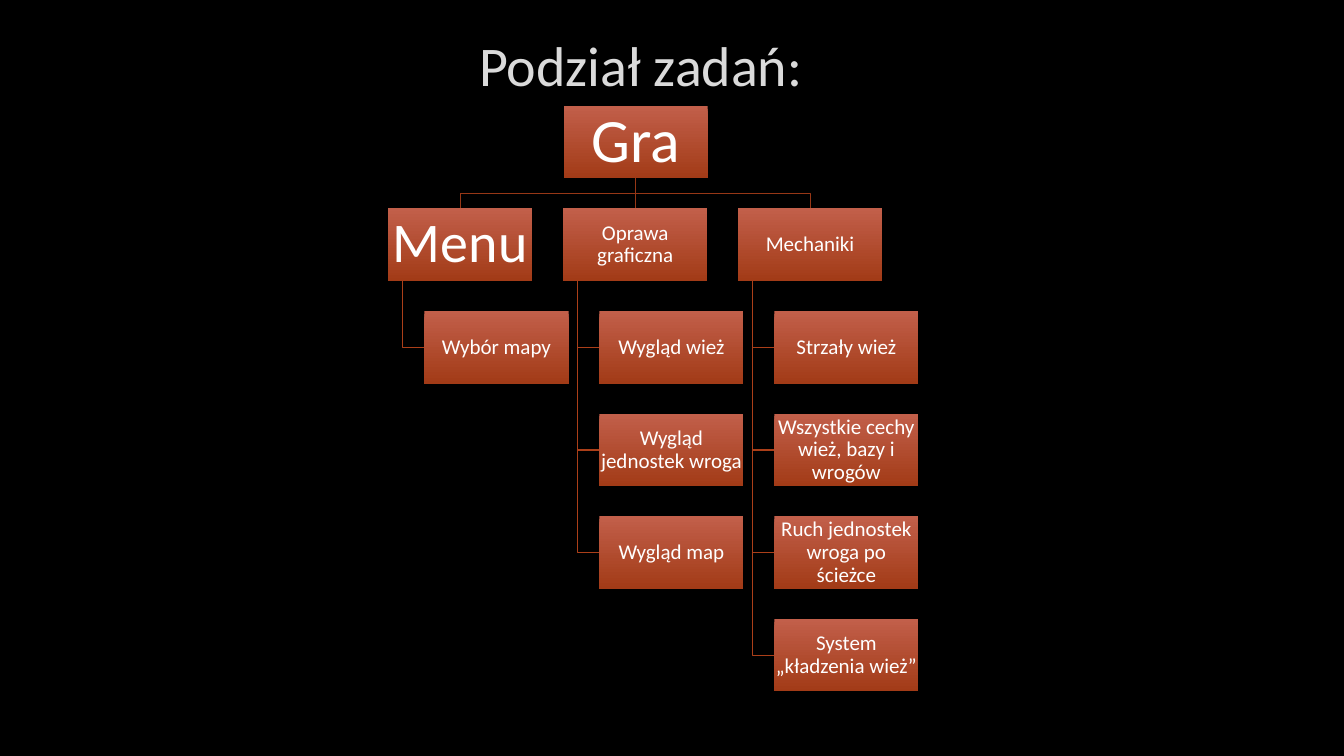
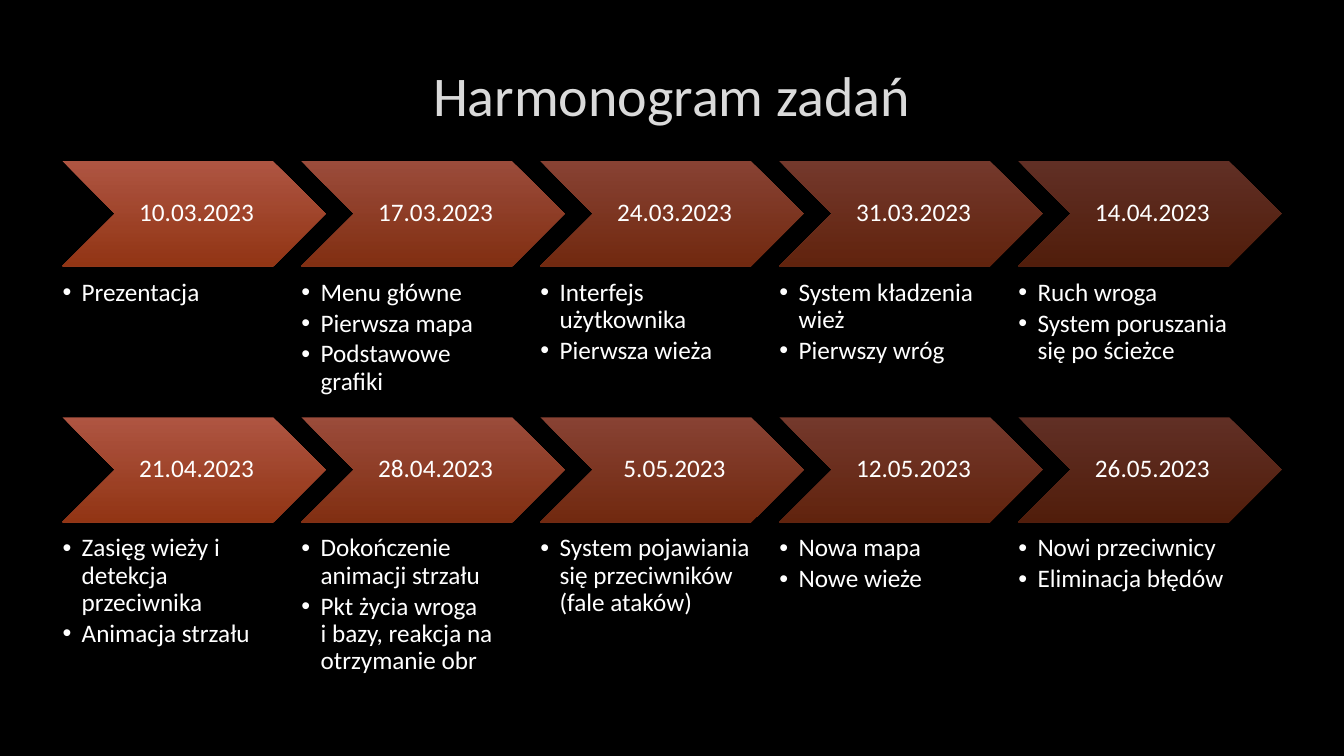
import pptx
import pptx.util
import pptx.dml.color
import pptx.enum.shapes
import pptx.enum.text
import pptx.oxml.ns
from lxml import etree

Inches, Pt = pptx.util.Inches, pptx.util.Pt
SHAPE = pptx.enum.shapes.MSO_SHAPE
ALIGN = pptx.enum.text.PP_ALIGN
ANCHOR = pptx.enum.text.MSO_ANCHOR
qn = pptx.oxml.ns.qn

# Content
ROOT = ("Gra", 44)
BRANCHES = [
    ("Menu", 40, ["Wybór mapy"]),
    ("Oprawa graficzna", 15, ["Wygląd wież", "Wygląd jednostek wroga", "Wygląd map"]),
    ("Mechaniki", 15, ["Strzały wież", "Wszystkie cechy wież, bazy i wrogów",
                       "Ruch jednostek wroga po ścieżce", "System „kładzenia wież”"]),
]
SCHEDULE = [
    [("10.03.2023", ["Prezentacja"]),
     ("17.03.2023", ["Menu główne", "Pierwsza mapa", "Podstawowe grafiki"]),
     ("24.03.2023", ["Interfejs użytkownika", "Pierwsza wieża"]),
     ("31.03.2023", ["System kładzenia wież", "Pierwszy wróg"]),
     ("14.04.2023", ["Ruch wroga", "System poruszania się po ścieżce"])],
    [("21.04.2023", ["Zasięg wieży i detekcja przeciwnika", "Animacja strzału"]),
     ("28.04.2023", ["Dokończenie animacji strzału",
                     "Pkt życia wroga\ni bazy, reakcja na otrzymanie obr"]),
     ("5.05.2023", ["System pojawiania się przeciwników\n(fale ataków)"]),
     ("12.05.2023", ["Nowa mapa", "Nowe wieże"]),
     ("26.05.2023", ["Nowi przeciwnicy", "Eliminacja błędów"])],
]

# Shared style
FONT = "Calibri"
COLORS = {"background": "000000", "title": "DADADA", "title_edge": "404040",
          "text": "FFFFFF", "fill_top": "C25F4A", "fill_bottom": "A23B17",
          "trunk": "973716", "branch": "AB3F19"}
TITLE = {"alignment": ALIGN.CENTER}
CENTERED = {"alignment": ALIGN.CENTER, "line_spacing": 0.9}
BULLETED = {"alignment": ALIGN.LEFT, "line_spacing": 0.9, "space_after": Pt(2.7)}
SIDES = ("margin_left", "margin_top", "margin_right", "margin_bottom")

# Tree geometry, in inches
BOX_W, BOX_H = 1.43, 0.72
ROOT_X, TREE_Y, LAST_ROW_Y = 5.59, 1.05, 6.14
FIRST_COL_X, LAST_COL_X = 3.85, 7.32
COL_STEP = (LAST_COL_X - FIRST_COL_X) / 2
ROW_STEP = (LAST_ROW_Y - TREE_Y) / 5
LEAF_INDENT, STEM_INDENT = 0.36, 0.14

# Schedule geometry, in inches
CHEVRON_W, CHEVRON_H = 2.61, 1.04
CHEVRON_X, CHEVRON_STEP = 0.62, 2.37
SCHEDULE_ROWS = [(1.6, 1.22), (4.14, 1.4)]
TASK_DROP, TASK_W, BULLET_INDENT = 1.17, 2.09, 0.19


def rgb(name):
    return pptx.dml.color.RGBColor.from_string(COLORS[name])


def apply(obj, values):
    for name, value in values.items():
        setattr(obj, name, value)


def write(sp, lines, size, para, insets, anchor=ANCHOR.MIDDLE, color="text"):
    tf = sp.text_frame
    apply(tf, {"word_wrap": True, "vertical_anchor": anchor})
    apply(tf, dict(zip(SIDES, map(Inches, insets))))
    for i, line in enumerate(lines):
        p = tf.add_paragraph() if i else tf.paragraphs[0]
        p.text = line
        apply(p, para)
        for r in p.runs:
            apply(r.font, {"name": FONT, "size": Pt(size)})
            r.font.color.rgb = rgb(color)
    return tf


def add_title(s, text, left, top, width):
    sp = s.shapes.add_textbox(Inches(left), Inches(top), Inches(width), Inches(1.06))
    tf = write(sp, [text], 40, TITLE, (0.1, 0.05, 0.1, 0.05), color="title")
    # Faint outline around the letters
    ln = etree.Element(qn("a:ln"), w=str(Pt(0.75)))
    fill = etree.SubElement(ln, qn("a:solidFill"))
    edge = etree.SubElement(fill, qn("a:srgbClr"), val=COLORS["title_edge"])
    etree.SubElement(edge, qn("a:alpha"), val="10000")
    tf.paragraphs[0].runs[0].font._element.insert(0, ln)


def add_block(s, kind, left, top, width, height, text, size, insets, opacity=100):
    sp = s.shapes.add_shape(kind, Inches(left), Inches(top), Inches(width), Inches(height))
    sp.shadow.inherit = False
    sp.line.fill.background()
    sp.fill.gradient()
    sp.fill.gradient_angle = 270
    for stop, name in zip(sp.fill.gradient_stops, ("fill_top", "fill_bottom")):
        stop.color.rgb = rgb(name)
    if opacity < 100:
        for clr in sp._element.spPr.iter(qn("a:srgbClr")):
            etree.SubElement(clr, qn("a:alpha"), val=str(opacity * 1000))
    write(sp, [text], size, CENTERED, insets)


def add_box(s, left, top, text, size):
    inset = 0.03 if size > 15 else 0.01
    add_block(s, SHAPE.RECTANGLE, left, top, BOX_W, BOX_H, text, size, (inset,) * 4)


def add_elbow(s, points, color):
    start, *rest = [(Inches(x), Inches(y)) for x, y in points]
    outline = s.shapes.build_freeform(*start)
    outline.add_line_segments(rest, close=False)
    sp = outline.convert_to_shape()
    sp.shadow.inherit = False
    sp.fill.background()
    sp.line.width = Pt(0.75)
    sp.line.color.rgb = rgb(color)


def add_tree(s):
    branch_y = TREE_Y + ROW_STEP
    root_mid, root_bottom = ROOT_X + BOX_W / 2, TREE_Y + BOX_H
    bus_y = (root_bottom + branch_y) / 2
    boxes = [(ROOT_X, TREE_Y, *ROOT)]

    # Elbow lines lie behind the boxes
    for col, (name, size, leaves) in enumerate(BRANCHES):
        left = FIRST_COL_X + col * COL_STEP
        center, stem_x, leaf_x = left + BOX_W / 2, left + STEM_INDENT, left + LEAF_INDENT
        boxes.append((left, branch_y, name, size))
        add_elbow(s, [(root_mid, root_bottom), (root_mid, bus_y),
                      (center, bus_y), (center, branch_y)], "trunk")
        for i, leaf in enumerate(leaves, 1):
            top = branch_y + i * ROW_STEP
            leaf_mid = top + BOX_H / 2
            boxes.append((leaf_x, top, leaf, 15))
            add_elbow(s, [(stem_x, branch_y + BOX_H), (stem_x, leaf_mid),
                          (leaf_x, leaf_mid)], "branch")

    for box in boxes:
        add_box(s, *box)


def add_tasks(s, left, top, height, tasks):
    sp = s.shapes.add_textbox(Inches(left), Inches(top), Inches(TASK_W), Inches(height))
    tf = write(sp, tasks, 18, BULLETED, (0, 0, 0, 0), ANCHOR.TOP)
    indent = Inches(BULLET_INDENT)
    for p in tf.paragraphs:
        pPr = p._p.get_or_add_pPr()
        pPr.set("marL", str(indent))
        pPr.set("indent", str(-indent))
        etree.SubElement(pPr, qn("a:buFont"), typeface="Arial")
        etree.SubElement(pPr, qn("a:buChar"), char="•")


def add_schedule(s):
    for (top, task_h), row in zip(SCHEDULE_ROWS, SCHEDULE):
        for i, (date, tasks) in enumerate(row):
            left = CHEVRON_X + i * CHEVRON_STEP
            add_block(s, SHAPE.CHEVRON, left, top, CHEVRON_W, CHEVRON_H, date, 18,
                      (0.08, 0.03, 0.03, 0.03), opacity=90 - 10 * i)
            add_tasks(s, left, top + TASK_DROP, task_h, tasks)


def main():
    prs = pptx.Presentation()
    prs.slide_width, prs.slide_height = Inches(13.33), Inches(7.5)
    background = prs.slide_master.background.fill
    background.solid()
    background.fore_color.rgb = rgb("background")
    blank = prs.slide_layouts[6]

    # Task breakdown
    s = prs.slides.add_slide(blank)
    add_title(s, "Podział zadań:", 4.23, 0.11, 4.25)
    add_tree(s)

    # Schedule
    s = prs.slides.add_slide(blank)
    add_title(s, "Harmonogram zadań", 1, 0.4, 11.32)
    add_schedule(s)

    prs.save("out.pptx")


if __name__ == "__main__":
    main()
